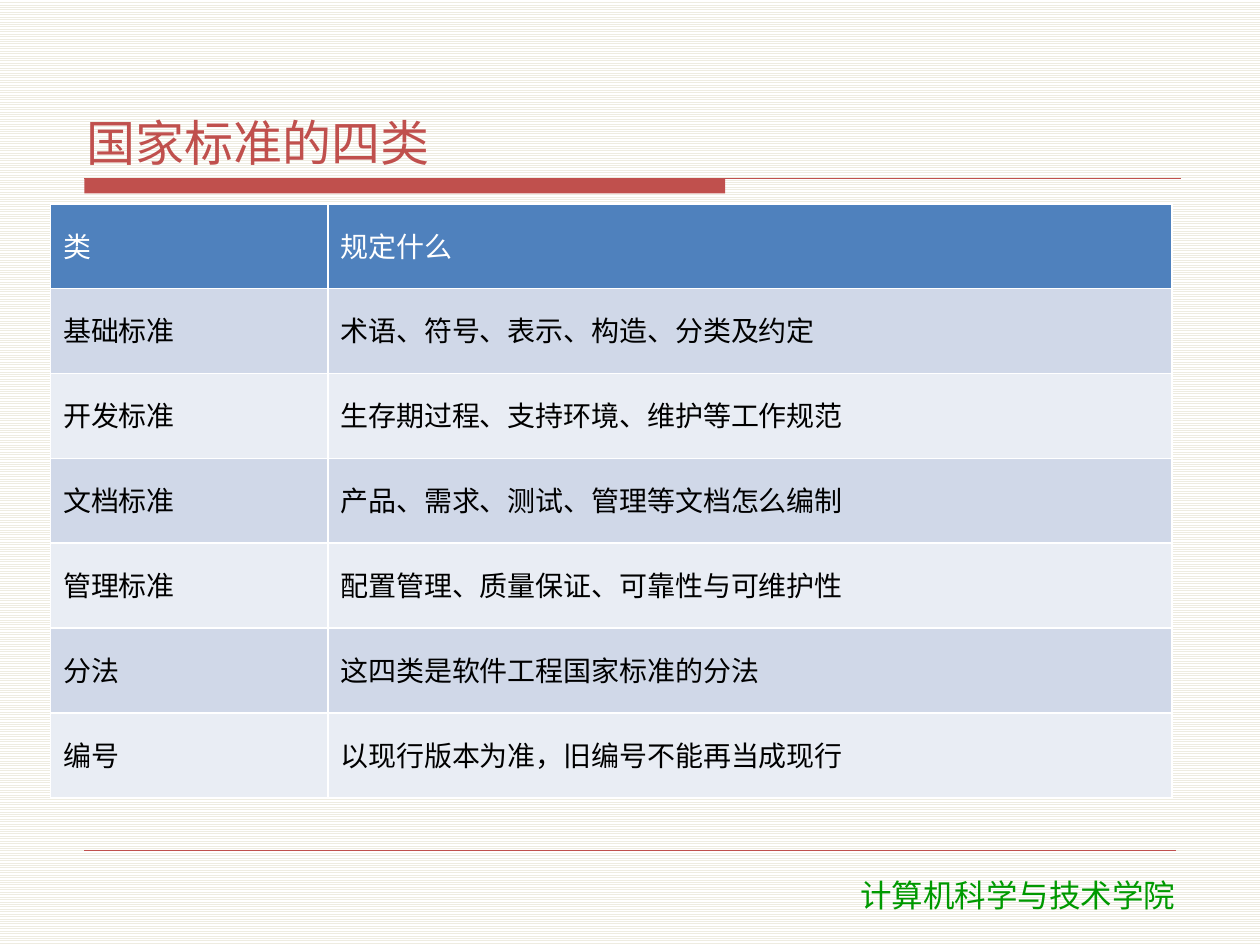
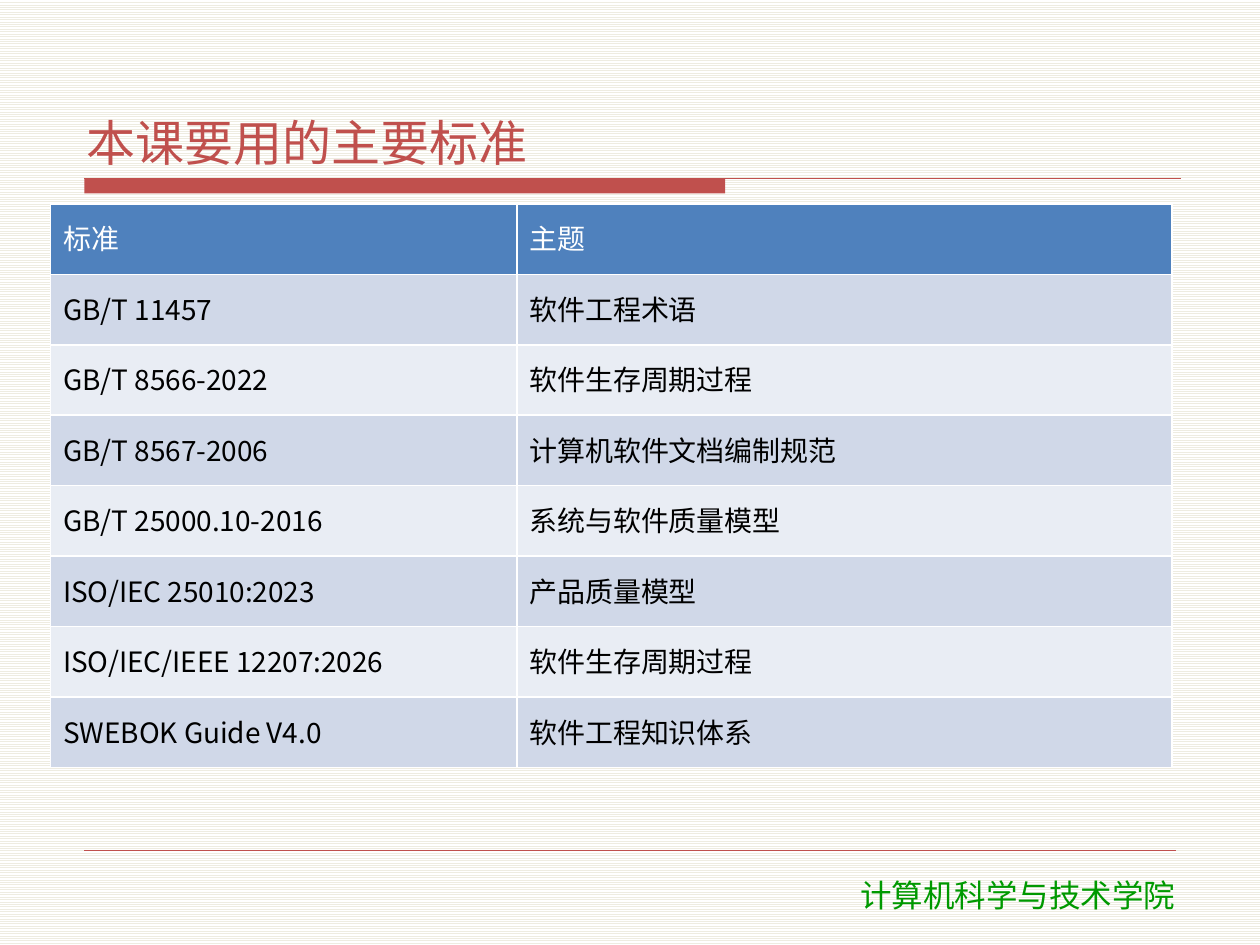
import pptx
import pptx.dml.color
import pptx.enum.dml
import pptx.enum.shapes
import pptx.enum.text
import pptx.oxml
import pptx.oxml.ns
import pptx.util

Cm = pptx.util.Cm
Pt = pptx.util.Pt
RGBColor = pptx.dml.color.RGBColor

RED = RGBColor(0xC0, 0x50, 0x4D)
GREEN = RGBColor(0x00, 0x99, 0x00)
BLUE = RGBColor(0x4F, 0x81, 0xBD)
BAND_DARK = RGBColor(0xD0, 0xD8, 0xE8)
BAND_LIGHT = RGBColor(0xE9, 0xED, 0xF4)
STRIPE = RGBColor(0xEE, 0xEC, 0xE1)
WHITE = RGBColor(0xFF, 0xFF, 0xFF)
BLACK = RGBColor(0x00, 0x00, 0x00)

CJK_FONT = "Noto Sans CJK SC"
FOOTER_FONT = "DejaVu Sans"
FOOTER = "计算机科学与技术学院"
LEFT = Cm(1.7)
BAND_TOP = Cm(3.6)

CATEGORY_ROWS = [
    ("类", "规定什么"),
    ("基础标准", "术语、符号、表示、构造、分类及约定"),
    ("开发标准", "生存期过程、支持环境、维护等工作规范"),
    ("文档标准", "产品、需求、测试、管理等文档怎么编制"),
    ("管理标准", "配置管理、质量保证、可靠性与可维护性"),
    ("分法", "这四类是软件工程国家标准的分法"),
    ("编号", "以现行版本为准，旧编号不能再当成现行"),
]
STANDARD_ROWS = [
    ("标准", "主题"),
    ("GB/T 11457", "软件工程术语"),
    ("GB/T 8566-2022", "软件生存周期过程"),
    ("GB/T 8567-2006", "计算机软件文档编制规范"),
    ("GB/T 25000.10-2016", "系统与软件质量模型"),
    ("ISO/IEC 25010:2023", "产品质量模型"),
    ("ISO/IEC/IEEE 12207:2026", "软件生存周期过程"),
    ("SWEBOK Guide V4.0", "软件工程知识体系"),
]


def write(tf, text, size=16, color=BLACK, font=CJK_FONT,
          align=pptx.enum.text.PP_ALIGN.LEFT, line_spacing=1.0):
    p = tf.paragraphs[0]
    p.alignment = align
    p.line_spacing = line_spacing
    p.space_before = p.space_after = Pt(0)
    r = p.add_run()
    r.text = text
    r.font.size = Pt(size)
    r.font.color.rgb = color
    r.font.name = font
    ea = pptx.oxml.parse_xml(f'<a:ea {pptx.oxml.ns.nsdecls("a")} typeface="{font}"/>')
    r.font._element.append(ea)


def set_background(prs):
    fill = prs.slide_master.background.fill
    fill.patterned()
    fill.pattern = pptx.enum.dml.MSO_PATTERN.LIGHT_HORIZONTAL
    fill.fore_color.rgb = STRIPE
    fill.back_color.rgb = WHITE


def add_rule(s, right, y, width):
    line = s.shapes.add_connector(
        pptx.enum.shapes.MSO_CONNECTOR.STRAIGHT, LEFT, y, right, y)
    line.line.color.rgb = RED
    line.line.width = Pt(width)
    line._element.spPr.append(
        pptx.oxml.parse_xml(f'<a:effectLst {pptx.oxml.ns.nsdecls("a")}/>'))


def add_band(s):
    band = s.shapes.add_shape(
        pptx.enum.shapes.MSO_SHAPE.RECTANGLE, LEFT, BAND_TOP, Cm(12.92), Cm(0.3))
    band.shadow.inherit = False
    band.fill.solid()
    band.fill.fore_color.rgb = RED
    band.line.fill.background()


def add_footer(s):
    sp = s.shapes.add_textbox(Cm(15.42), Cm(17.53), Cm(10.2), Cm(1.02))
    sp.text_frame.word_wrap = True
    write(sp.text_frame, FOOTER, size=18, color=GREEN, font=FOOTER_FONT,
          align=pptx.enum.text.PP_ALIGN.CENTER)


def set_title(s, text):
    sp = s.shapes.title
    sp.left, sp.top, sp.width, sp.height = Cm(1.6), Cm(0.84), Cm(22.23), Cm(2.67)
    tf = sp.text_frame
    tf.auto_size = pptx.enum.text.MSO_AUTO_SIZE.NONE
    tf.vertical_anchor = pptx.enum.text.MSO_ANCHOR.BOTTOM
    tf.margin_left = tf.margin_right = Cm(0.15)
    tf.margin_top = tf.margin_bottom = Cm(0.05)
    write(tf, text, size=28, color=RED)


def add_slide(prs, title):
    s = prs.slides.add_slide(prs.slide_layouts.get_by_name("Title Only"))
    add_band(s)
    add_rule(s, Cm(23.8), BAND_TOP, 0.75)
    add_rule(s, Cm(23.7), Cm(17.15), 0.25)
    add_footer(s)
    set_title(s, title)
    return s


def row_fill(row):
    if row == 0:
        return BLUE
    return BAND_DARK if row % 2 else BAND_LIGHT


def add_standards_table(s, rows, col_widths, row_height):
    table = s.shapes.add_table(
        len(rows), len(col_widths), Cm(1.02), Cm(4.11),
        Cm(sum(col_widths)), Cm(row_height * len(rows))).table
    for col, width in zip(table.columns, col_widths):
        col.width = Cm(width)
    for i, texts in enumerate(rows):
        table.rows[i].height = Cm(row_height)
        for j, text in enumerate(texts):
            cell = table.cell(i, j)
            cell.fill.solid()
            cell.fill.fore_color.rgb = row_fill(i)
            cell.vertical_anchor = pptx.enum.text.MSO_ANCHOR.MIDDLE
            write(cell.text_frame, text, color=BLACK if i else WHITE, line_spacing=0.9)
            cell.text_frame.paragraphs[0].runs[0].font.bold = False


def main():
    prs = pptx.Presentation()
    prs.slide_width, prs.slide_height = Cm(25.4), Cm(19.05)
    set_background(prs)
    s = add_slide(prs, "国家标准的四类")
    add_standards_table(s, CATEGORY_ROWS, (5.59, 17.02), 1.71)
    s = add_slide(prs, "本课要用的主要标准")
    add_standards_table(s, STANDARD_ROWS, (9.4, 13.21), 1.42)
    prs.save("out.pptx")


if __name__ == "__main__":
    main()
